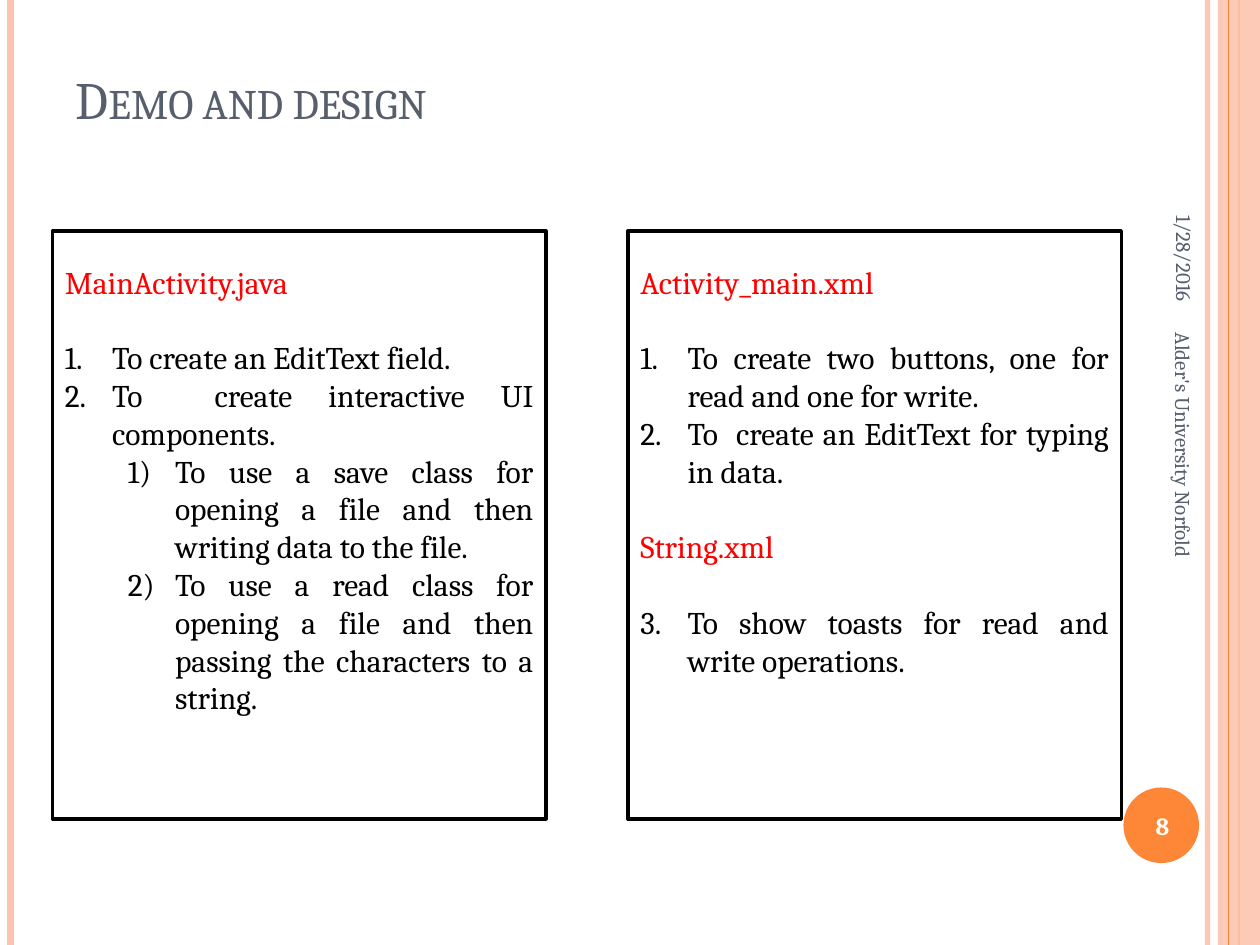
import pptx
import pptx.util
import pptx.dml.color
import pptx.enum.shapes
import pptx.enum.text
import pptx.oxml
import pptx.oxml.ns
from lxml import etree

RGB = pptx.dml.color.RGBColor
SHAPE = pptx.enum.shapes.MSO_SHAPE
ALIGN = pptx.enum.text.PP_ALIGN
ANCHOR = pptx.enum.text.MSO_ANCHOR
qn = pptx.oxml.ns.qn

PEACH = RGB(0xFE, 0xC3, 0xAE)
ORANGE = RGB(0xFE, 0x86, 0x37)
SLATE = RGB(0x57, 0x5F, 0x6D)
RED = RGB(0xFF, 0x00, 0x00)
BLACK = RGB(0x00, 0x00, 0x00)
WHITE = RGB(0xFF, 0xFF, 0xFF)

# Paragraph formats: numbering, level, indent in columns, colour
HEADING = dict(number=None, level=0, indent=0, color=RED)
ITEM = dict(number="arabicPeriod", level=0, indent=4.5, color=BLACK)
SUBITEM = dict(number="arabicParenR", level=1, indent=10.5, color=BLACK)


class Deck:
    font = "Cambria"
    cols, rows = 120, 90
    hanging = 4.5
    line_gap = 21.6

    def __init__(self, width, height):
        self.prs = pptx.Presentation()
        self.prs.slide_width = pptx.util.Inches(width)
        self.prs.slide_height = pptx.util.Inches(height)
        self.s = self.prs.slides.add_slide(self.prs.slide_layouts[5])

    def x(self, col):
        return round(self.prs.slide_width * col / self.cols)

    def y(self, row):
        return round(self.prs.slide_height * row / self.rows)

    def box(self, col, row, width, height):
        return self.x(col), self.y(row), self.x(width), self.y(height)

    def style(self, r, size, color, **extra):
        formats = dict(name=self.font, size=pptx.util.Pt(size), **extra)
        for key, value in formats.items():
            setattr(r.font, key, value)
        r.font.color.rgb = color

    def fade(self, fill, alpha):
        clr = fill._xPr.find(".//" + qn("a:srgbClr"))
        etree.SubElement(clr, qn("a:alpha")).set("val", str(alpha * 1000))

    def title(self, text, at, size):
        sp = self.s.shapes.title
        sp.left, sp.top, sp.width, sp.height = self.box(*at)
        tf = sp.text_frame
        tf.vertical_anchor = ANCHOR.BOTTOM
        p = tf.paragraphs[0]
        p.alignment = ALIGN.LEFT
        r = p.add_run()
        r.text = text
        self.style(r, size, SLATE)
        r.font._element.set("cap", "small")

    def vline(self, col, color, width, alpha=100):
        sp = self.s.shapes.add_connector(
            pptx.enum.shapes.MSO_CONNECTOR.STRAIGHT,
            self.x(col), 0, self.x(col), self.y(self.rows))
        sp.line.width = pptx.util.Pt(width)
        sp.line.color.rgb = color
        if alpha < 100:
            self.fade(sp.line.fill, alpha)
        etree.SubElement(sp._element.spPr, qn("a:effectLst"))

    def shape(self, kind, at, color, alpha=100):
        sp = self.s.shapes.add_shape(kind, *self.box(*at))
        sp.shadow.inherit = False
        sp.fill.solid()
        sp.fill.fore_color.rgb = color
        sp.line.fill.background()
        if alpha < 100:
            self.fade(sp.fill, alpha)

    def label(self, text, at, size, color, align, rotation=0, bold=False):
        sp = self.s.shapes.add_textbox(*self.box(*at))
        sp.rotation = rotation
        tf = sp.text_frame
        tf.word_wrap = True
        tf.vertical_anchor = ANCHOR.MIDDLE
        p = tf.paragraphs[0]
        p.alignment = align
        r = p.add_run()
        r.text = text
        self.style(r, size, color, bold=bold)

    def panel(self, at, lines, size=18):
        sp = self.s.shapes.add_shape(SHAPE.RECTANGLE, *self.box(*at))
        sp.shadow.inherit = False
        sp.fill.background()
        sp.line.color.rgb = BLACK
        sp.line.width = pptx.util.Pt(2)
        tf = sp.text_frame
        tf.word_wrap = True
        tf.vertical_anchor = ANCHOR.TOP
        tf.margin_top = self.y(3)
        previous = None
        for text, fmt in lines:
            p = tf.add_paragraph() if previous else tf.paragraphs[0]
            p.alignment = ALIGN.JUSTIFY
            p.level = fmt["level"]
            # A line's gap sets each heading apart from its neighbours
            if previous and HEADING in (previous, fmt):
                p.space_before = pptx.util.Pt(self.line_gap)
            if fmt["number"]:
                self.number(p, fmt, 3 if text.startswith("To show") else 1)
            r = p.add_run()
            r.text = text
            self.style(r, size, fmt["color"])
            previous = fmt

    def number(self, p, fmt, start):
        pPr = p._p.get_or_add_pPr()
        pPr.set("marL", str(self.x(fmt["indent"])))
        pPr.set("indent", str(-self.x(self.hanging)))
        etree.SubElement(pPr, qn("a:buFont")).set("typeface", "+mj-lt")
        bullet = etree.SubElement(pPr, qn("a:buAutoNum"))
        bullet.set("type", fmt["number"])
        if start > 1:
            bullet.set("startAt", str(start))


def main():
    d = Deck(10, 7.5)

    # Side bands
    d.vline(115, PEACH, 3, alpha=93)
    d.vline(1, PEACH, 4.5)
    d.vline(118, ORANGE, 1.5)
    d.shape(SHAPE.RECTANGLE, (116, 0, 4, 90), PEACH, alpha=87)
    d.vline(117, ORANGE, 0.75)
    d.shape(SHAPE.OVAL, (107, 75, 7.2, 7.2), ORANGE)

    # Title, date, footer and slide number
    d.title("Demo and design", (6, 3.6, 98, 9.4), 30)
    d.label("1/28/2016", (99.6, 14.2, 26.4, 5), 12, SLATE, ALIGN.RIGHT, 90)
    d.label("Alder's University Norfold", (91.7, 49.1, 42, 4.8), 12, SLATE,
            ALIGN.LEFT, 90)
    d.label("8", (106.7, 75.2, 8, 6.8), 14, WHITE, ALIGN.CENTER, bold=True)

    # File panels
    d.panel((5, 22, 47, 56), [
        ("MainActivity.java", HEADING),
        ("To create an EditText field.", ITEM),
        ("To  create interactive UI components.", ITEM),
        ("To use a save class for opening a file and then writing data "
         "to the file.", SUBITEM),
        ("To use a read class for opening a file and then passing the "
         "characters to a string.", SUBITEM),
    ])
    d.panel((59.8, 22, 47, 56), [
        ("Activity_main.xml", HEADING),
        ("To create two buttons, one for read and one for write.", ITEM),
        ("To  create an EditText for typing in data.", ITEM),
        ("String.xml", HEADING),
        ("To show toasts for read and write operations.", ITEM),
    ])

    d.prs.save("out.pptx")


if __name__ == "__main__":
    main()
